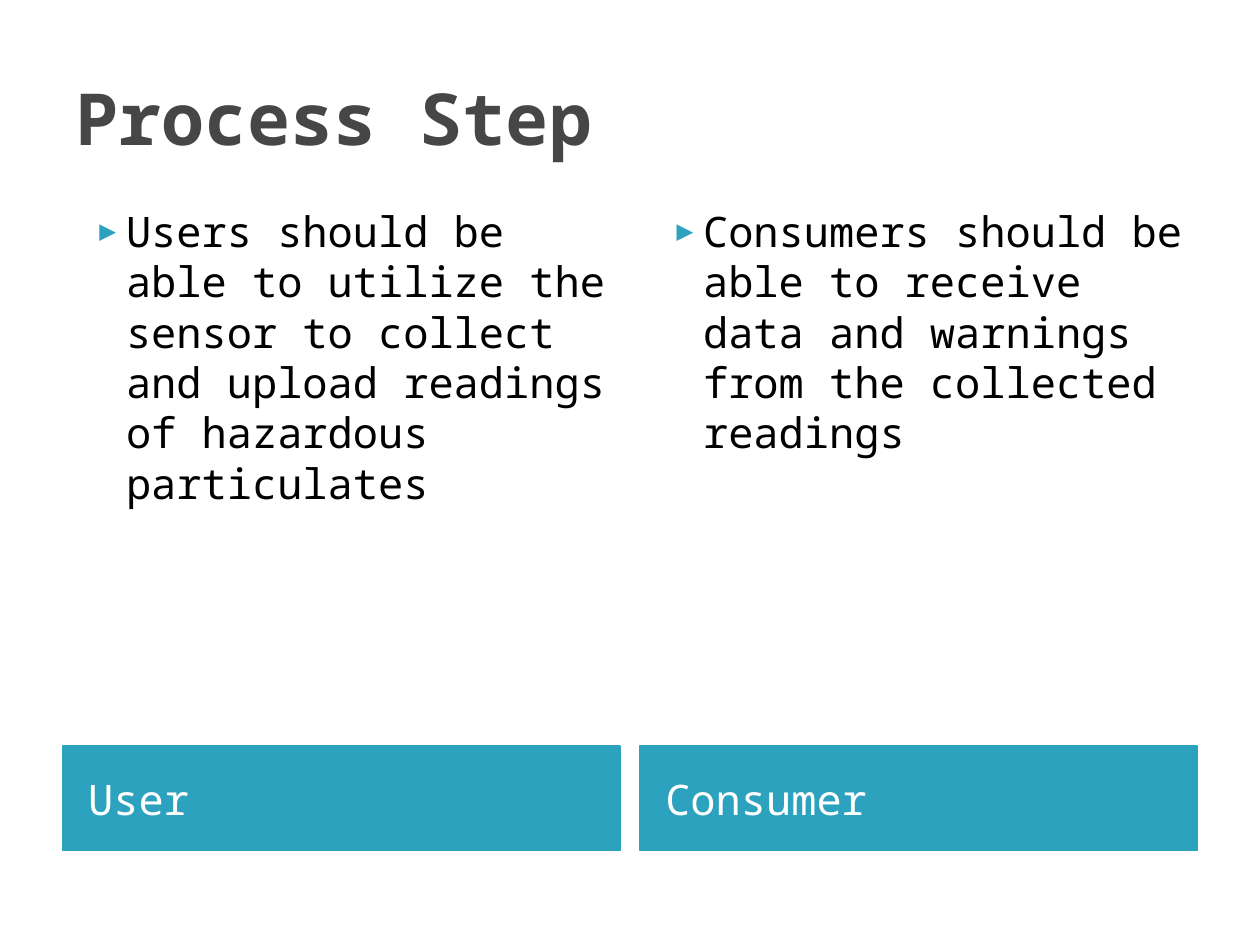
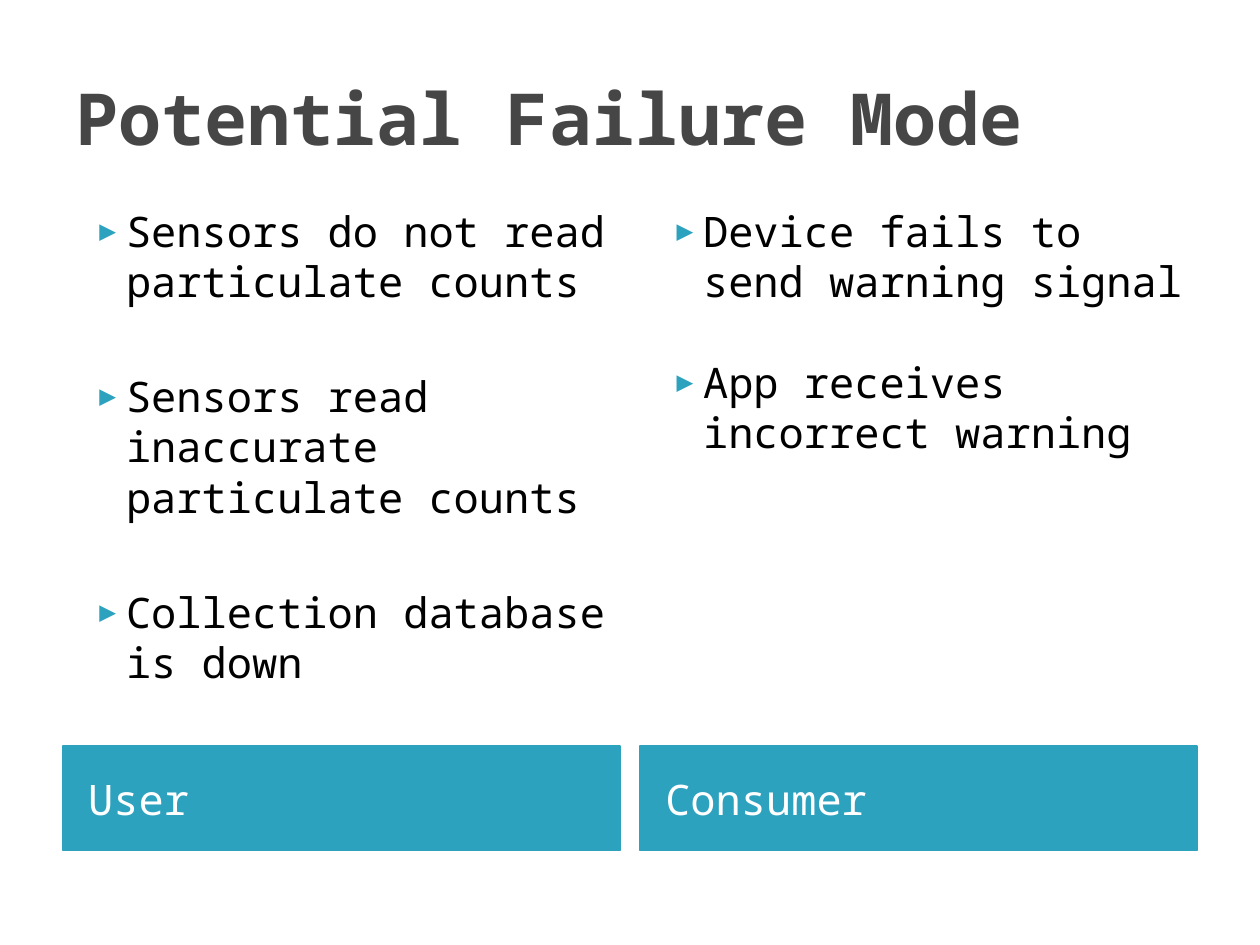
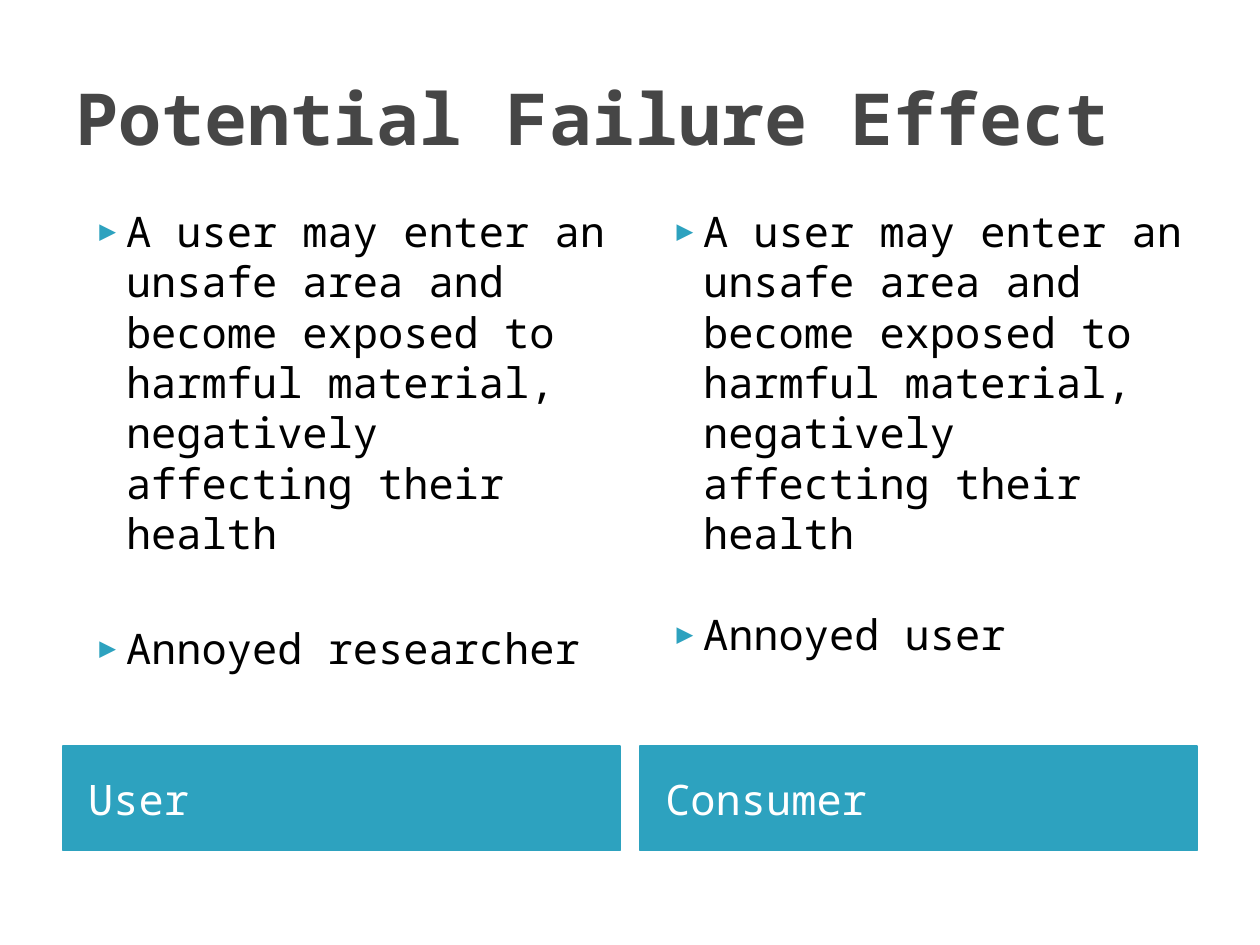
from lxml import etree
from pptx import Presentation
from pptx.dml.color import RGBColor
from pptx.enum.text import MSO_ANCHOR, MSO_AUTO_SIZE, PP_ALIGN
from pptx.oxml.ns import qn
from pptx.util import Emu, Pt

MIDDLE, TOP = MSO_ANCHOR.MIDDLE, MSO_ANCHOR.TOP
NO_FIT = MSO_AUTO_SIZE.NONE
LEFT = PP_ALIGN.LEFT

TEAL = RGBColor(0x2D, 0xA2, 0xBF)
GRAY = RGBColor(0x46, 0x46, 0x46)
BLACK = RGBColor(0x00, 0x00, 0x00)
WHITE = RGBColor(0xFF, 0xFF, 0xFF)

FONT = "Noto Sans Mono"
PX = 9144  # EMU per px, 100 px to the inch
COMPARISON_LAYOUT = 4

# Shared geometry in px
MARGIN, COLUMN_WIDTH, COLUMN_STEP = 50, 442, 458
LIST_TOP, LIST_HEIGHT = 158, 431
BAND_TOP, BAND_HEIGHT = 592, 83

# Column label and the space between its list items in points
COLUMNS = [("User", 36.8), ("Consumer", 28.8)]

EXPOSURE = ("A user may enter an unsafe area and become exposed to harmful "
            "material, negatively affecting their health")
SLIDES = [
    ("Process Step",
     ["Users should be able to utilize the sensor to collect and upload "
      "readings of hazardous particulates"],
     ["Consumers should be able to receive data and warnings from the "
      "collected readings"]),
    ("Potential Failure Mode",
     ["Sensors do not read particulate counts",
      "Sensors read inaccurate particulate counts",
      "Collection database is down"],
     ["Device fails to send warning signal",
      "App receives incorrect warning"]),
    ("Potential Failure Effect",
     [EXPOSURE, "Annoyed researcher"],
     [EXPOSURE, "Annoyed user"]),
]


def px(length):
    return Emu(length * PX)


class Deck:
    """Holds the presentation, its style and the current slide."""

    def __init__(self):
        self.presentation = Presentation()
        self.presentation.slide_width = px(1000)
        self.presentation.slide_height = px(750)
        self.slide = None

    def add_slide(self):
        layout = self.presentation.slide_layouts[COMPARISON_LAYOUT]
        self.slide = self.presentation.slides.add_slide(layout)

    def place(self, index, left, top, width, height, anchor):
        shape = self.slide.placeholders[index]
        shape.left, shape.top = px(left), px(top)
        shape.width, shape.height = px(width), px(height)
        text_frame = shape.text_frame
        text_frame.word_wrap = True
        text_frame.auto_size = NO_FIT
        text_frame.vertical_anchor = anchor
        return shape

    def style_text(self, paragraph, text, size, color, bold=False, space_before=0):
        paragraph.text = text
        paragraph.alignment = LEFT
        paragraph.space_before = Pt(space_before)
        font = paragraph.runs[0].font
        font.name, font.size, font.bold = FONT, Pt(size), bold
        font.color.rgb = color

    def title(self, text):
        shape = self.place(0, MARGIN, 30, 900, 125, MIDDLE)
        self.style_text(shape.text_frame.paragraphs[0], text, 41, GRAY, bold=True)

    def band(self, index, left, text):
        shape = self.place(index, left, BAND_TOP, COLUMN_WIDTH, BAND_HEIGHT, MIDDLE)
        shape.fill.solid()
        shape.fill.fore_color.rgb = TEAL
        shape.line.color.rgb = TEAL
        shape.line.width = Pt(0.75)
        shape.text_frame.margin_left = px(20)
        self.style_text(shape.text_frame.paragraphs[0], text, 24, WHITE, space_before=4)

    def bullet_list(self, index, left, items, gap):
        shape = self.place(index, left, LIST_TOP, COLUMN_WIDTH, LIST_HEIGHT, TOP)
        text_frame = shape.text_frame
        text_frame.text = "\n".join(items)
        for number, (paragraph, item) in enumerate(zip(text_frame.paragraphs, items)):
            self.style_text(paragraph, item, 24, BLACK, space_before=gap if number else 0)
            self.bullet(paragraph)

    def bullet(self, paragraph):
        properties = paragraph._p.get_or_add_pPr()
        properties.set("marL", str(px(40)))
        properties.set("indent", str(px(-28)))
        color = etree.SubElement(properties, qn("a:buClr"))
        etree.SubElement(color, qn("a:srgbClr"), val=str(TEAL))
        etree.SubElement(properties, qn("a:buSzPct"), val="68000")
        etree.SubElement(properties, qn("a:buFont"), typeface=FONT)
        etree.SubElement(properties, qn("a:buChar"), char="▶")


def main():
    deck = Deck()
    for title, *lists in SLIDES:
        deck.add_slide()
        deck.title(title)
        # Each column takes two placeholders: its band, then its list
        for column, ((label, gap), items) in enumerate(zip(COLUMNS, lists)):
            left = MARGIN + column * COLUMN_STEP
            deck.band(2 * column + 1, left, label)
            deck.bullet_list(2 * column + 2, left, items, gap)
    deck.presentation.save("out.pptx")


if __name__ == "__main__":
    main()
